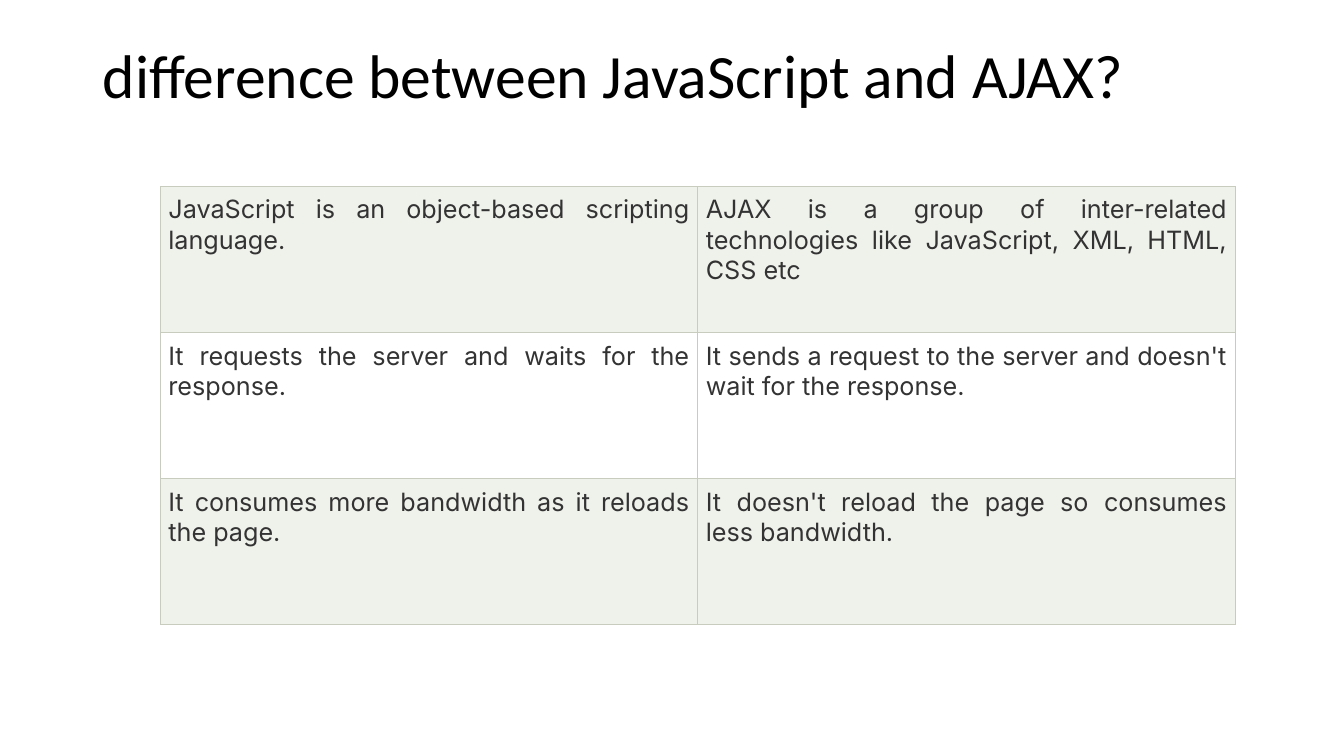
"""Build a slide with a table comparing JavaScript and AJAX."""
import pptx
import pptx.dml.color
import pptx.enum.text
import pptx.oxml
import pptx.oxml.ns
import pptx.util

TITLE = "difference between JavaScript and AJAX?"
COMPARISON = [
    ("JavaScript is an object-based scripting language.",
     "AJAX is a group of inter-related technologies like JavaScript, XML, HTML, CSS etc"),
    ("It requests the server and waits for the response.",
     "It sends a request to the server and doesn't wait for the response."),
    ("It consumes more bandwidth as it reloads the page.",
     "It doesn't reload the page so consumes less bandwidth."),
]
COLORS = {"title": "000000", "text": "333333", "border": "C7CCBE"}
BAND_FILLS = ["EFF1EB", "FFFFFF"]

Inches = pptx.util.Inches
SLIDE_SIZE = (13.33, 7.5)
TITLE_BOX = (0.92, 0.4, 11.5, 1.45)
TABLE_LEFT, TABLE_TOP = 1.59, 1.85
COLUMN_WIDTH, ROW_HEIGHT = 5.33, 1.45
CELL_MARGIN = 0.08
BORDER_POINTS = 0.75


def add_run(paragraph, text, font_name, size, color):
    run = paragraph.add_run()
    run.text = text
    run.font.name = font_name
    run.font.size = pptx.util.Pt(size)
    run.font.color.rgb = pptx.dml.color.RGBColor.from_string(color)


def add_borders(cell):
    properties = cell._tc.get_or_add_tcPr()
    for position, side in enumerate(("lnL", "lnR", "lnT", "lnB")):
        border = pptx.oxml.parse_xml(
            f'<a:{side} {pptx.oxml.ns.nsdecls("a")} w="{pptx.util.Pt(BORDER_POINTS)}">'
            f'<a:solidFill><a:srgbClr val="{COLORS["border"]}"/></a:solidFill></a:{side}>')
        properties.insert(position, border)


def format_cell(cell, text, fill):
    cell.fill.solid()
    cell.fill.fore_color.rgb = pptx.dml.color.RGBColor.from_string(fill)
    cell.margin_left = cell.margin_right = Inches(CELL_MARGIN)
    cell.margin_top = cell.margin_bottom = Inches(CELL_MARGIN)
    paragraph = cell.text_frame.paragraphs[0]
    paragraph.alignment = pptx.enum.text.PP_ALIGN.JUSTIFY
    add_run(paragraph, text, "Inter", 18, COLORS["text"])
    add_borders(cell)


def add_title(slide):
    title = slide.shapes.title
    title.left, title.top, title.width, title.height = map(Inches, TITLE_BOX)
    frame = title.text_frame
    frame.word_wrap = True
    frame.vertical_anchor = pptx.enum.text.MSO_ANCHOR.TOP
    paragraph = frame.paragraphs[0]
    paragraph.alignment = pptx.enum.text.PP_ALIGN.LEFT
    paragraph.line_spacing = 0.9
    add_run(paragraph, TITLE, "Calibri", 44, COLORS["title"])


def add_comparison(slide):
    row_count, column_count = len(COMPARISON), len(COMPARISON[0])
    table = slide.shapes.add_table(
        row_count, column_count, Inches(TABLE_LEFT), Inches(TABLE_TOP),
        Inches(column_count * COLUMN_WIDTH), Inches(row_count * ROW_HEIGHT)).table
    table.first_row = table.horz_banding = False
    for row_index, texts in enumerate(COMPARISON):
        fill = BAND_FILLS[row_index % len(BAND_FILLS)]
        for column_index, text in enumerate(texts):
            format_cell(table.cell(row_index, column_index), text, fill)


def main():
    presentation = pptx.Presentation()
    presentation.slide_width, presentation.slide_height = map(Inches, SLIDE_SIZE)
    slide = presentation.slides.add_slide(presentation.slide_layouts.get_by_name("Title Only"))
    add_title(slide)
    add_comparison(slide)
    presentation.save("out.pptx")


if __name__ == "__main__":
    main()
